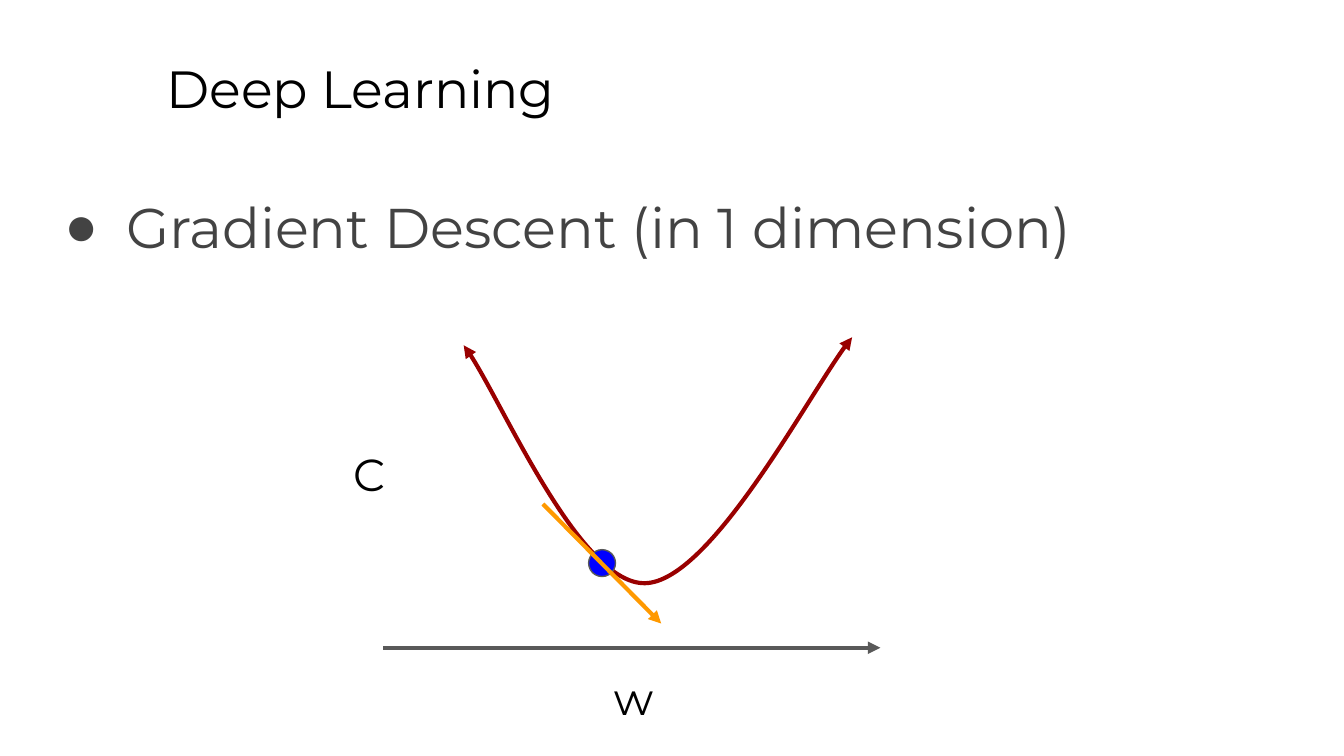
"""Build a slide that explains gradient descent in one dimension."""
import pptx
import pptx.dml.color
import pptx.enum.shapes
import pptx.enum.text
import pptx.oxml
import pptx.oxml.ns
import pptx.util
from pptx.util import Inches

FONT = "Montserrat"
BULLET_FONT = "Arial"
COLORS = {
    "text": "000000",
    "body": "434343",
    "axis": "595959",
    "cost": "990000",
    "point": "0000FF",
    "tangent": "FF9900",
}


def color(name):
    """Return the named colour as an RGB value."""
    return pptx.dml.color.RGBColor.from_string(COLORS[name])


def add_text(slide, words, box, size, color_name="text"):
    """Add a one-paragraph text box and return its paragraph."""
    frame = slide.shapes.add_textbox(*map(Inches, box)).text_frame
    margins = ("margin_left", "margin_top", "margin_right", "margin_bottom")
    frame_format = {
        "word_wrap": True,
        "vertical_anchor": pptx.enum.text.MSO_ANCHOR.TOP,
        **dict.fromkeys(margins, Inches(0.1)),
    }
    for name, value in frame_format.items():
        setattr(frame, name, value)
    paragraph = frame.paragraphs[0]
    run = paragraph.add_run()
    run.text = words
    for name, value in {"name": FONT, "size": pptx.util.Pt(size)}.items():
        setattr(run.font, name, value)
    run.font.color.rgb = color(color_name)
    return paragraph


def add_bullet(paragraph, color_name):
    """Give a paragraph a hanging round bullet."""
    paragraph.line_spacing = 1.15
    properties = paragraph._p.get_or_add_pPr()
    properties.set("marL", str(Inches(0.5)))
    properties.set("indent", str(Inches(-0.46)))
    namespace = pptx.oxml.ns.nsdecls("a")
    for xml in (
        f'<a:buClr {namespace}><a:srgbClr val="{COLORS[color_name]}"/></a:buClr>',
        f'<a:buFont {namespace} typeface="{BULLET_FONT}"/>',
        f'<a:buChar {namespace} char="●"/>',
    ):
        properties.append(pptx.oxml.parse_xml(xml))


def style_line(shape, color_name, width, arrows=()):
    """Set the line colour, width and arrowheads."""
    shape.line.color.rgb = color(color_name)
    shape.line.width = pptx.util.Pt(width)
    line = shape.line._get_or_add_ln()
    for end in arrows:
        arrowhead = line.makeelement(pptx.oxml.ns.qn(f"a:{end}"), {"type": "triangle"})
        line.append(arrowhead)


def add_arrow(slide, start, end, color_name):
    """Add a straight arrow."""
    arrow = slide.shapes.add_connector(
        pptx.enum.shapes.MSO_CONNECTOR.STRAIGHT, *map(Inches, start + end)
    )
    style_line(arrow, color_name, 2.25, ["tailEnd"])
    properties = arrow._element.spPr
    properties.append(properties.makeelement(pptx.oxml.ns.qn("a:effectLst"), {}))


def add_curve(slide, start, points, color_name):
    """Add a double-headed curve, with three Bézier points per piece."""
    builder = slide.shapes.build_freeform(*map(Inches, start))
    builder.add_line_segments([tuple(map(Inches, point)) for point in points], close=False)
    curve = builder.convert_to_shape()
    curve.shadow.inherit = False
    curve.fill.background()
    style_line(curve, color_name, 2.25, ["headEnd", "tailEnd"])
    segments = list(curve._element.iter(pptx.oxml.ns.qn("a:lnTo")))
    for first in range(0, len(segments), 3):
        piece = segments[first].makeelement(pptx.oxml.ns.qn("a:cubicBezTo"), {})
        segments[first].addprevious(piece)
        for segment in segments[first:first + 3]:
            piece.append(segment[0])
            segment.getparent().remove(segment)


def add_point(slide, center, diameter):
    """Add a round marker at the given centre."""
    left, top = (position - diameter / 2 for position in center)
    point = slide.shapes.add_shape(
        pptx.enum.shapes.MSO_SHAPE.OVAL,
        *map(Inches, (left, top, diameter, diameter)),
    )
    point.shadow.inherit = False
    point.fill.solid()
    point.fill.fore_color.rgb = color("point")
    style_line(point, "axis", 0.75)


def main():
    """Build and save the slide."""
    presentation = pptx.Presentation()
    presentation.slide_width = Inches(10)
    presentation.slide_height = Inches(10 * 9 / 16)
    slide = presentation.slides.add_slide(presentation.slide_layouts[6])

    add_text(slide, "Deep Learning", (1.14, 0.32, 8.52, 0.63), 28)
    topic = add_text(
        slide, "Gradient Descent (in 1 dimension)", (0.34, 1.26, 9.32, 3.74), 30, "body"
    )
    add_bullet(topic, "body")

    add_arrow(slide, (2.85, 4.82), (6.55, 4.82), "axis")
    add_text(slide, "w", (4.47, 4.89, 0.66, 0.45), 24)
    add_text(slide, "C", (2.53, 3.22, 0.42, 0.45), 24)
    cost_points = [
        (3.68, 2.86), (4.32, 4.35), (4.8, 4.34),
        (5.28, 4.33), (6.08, 2.82), (6.34, 2.51),
    ]
    add_curve(slide, (3.45, 2.57), cost_points, "cost")
    add_point(slide, (4.48, 4.19), 0.2)
    add_arrow(slide, (4.04, 3.75), (4.92, 4.64), "tangent")

    presentation.save("out.pptx")


if __name__ == "__main__":
    main()
